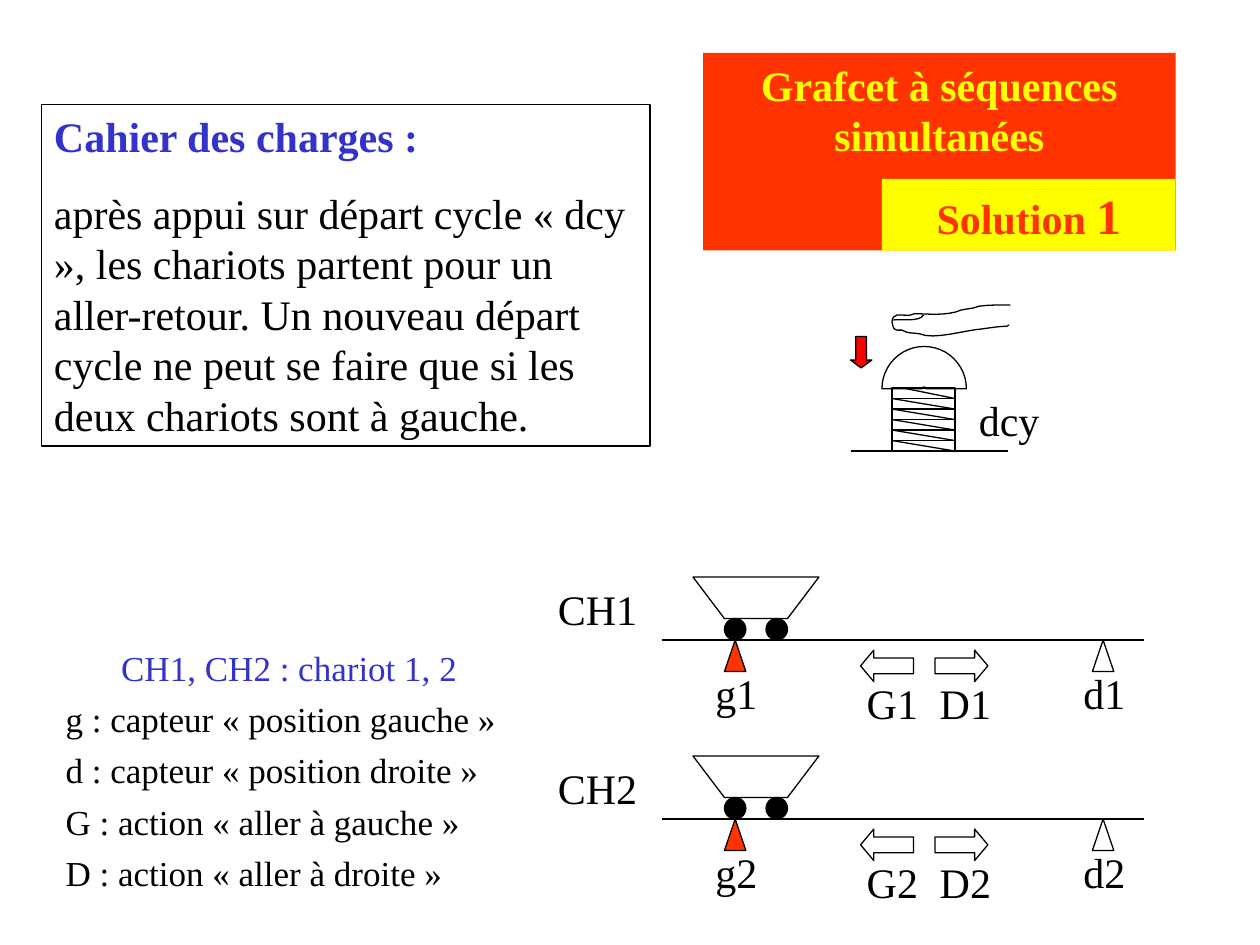
import pptx
import pptx.dml.color
import pptx.enum.shapes
import pptx.enum.text
import pptx.oxml.ns
import pptx.util
from lxml import etree

Inches = pptx.util.Inches
Pt = pptx.util.Pt
MSO = pptx.enum.shapes.MSO_SHAPE
ALIGN = pptx.enum.text.PP_ALIGN
qn = pptx.oxml.ns.qn

BLACK, RED, YELLOW, BLUE = "000000", "FF3300", "FFFF00", "3333CC"


def rgb(value):
    return pptx.dml.color.RGBColor.from_string(value)


def bezier(p0, p1, p2, p3, steps=8):
    """Points along a cubic curve, without its start."""
    for i in range(1, steps + 1):
        t = i / steps
        u = 1 - t
        yield tuple(u**3 * a + 3 * u * u * t * b + 3 * u * t * t * c + t**3 * d
                    for a, b, c, d in zip(p0, p1, p2, p3))


def curve(points):
    """Flatten a chain of cubic curves: start, then three points for each."""
    flat = [points[0]]
    for i in range(0, len(points) - 1, 3):
        flat.extend(bezier(*points[i:i + 4]))
    return flat


class Slide:
    font = "Times New Roman"
    line_width = Pt(0.75)

    def __init__(self, prs, layout):
        self.s = prs.slides.add_slide(prs.slide_layouts[layout])
        self.shapes = self.s.shapes

    def group(self):
        """Put the next elements in a new group."""
        self.shapes = self.s.shapes.add_group_shape().shapes

    def ungroup(self):
        self.shapes = self.s.shapes

    def paint(self, sp, fill=None, line=BLACK):
        sp.shadow.inherit = False
        if fill:
            sp.fill.solid()
            sp.fill.fore_color.rgb = rgb(fill)
        else:
            sp.fill.background()
        if line:
            sp.line.color.rgb = rgb(line)
            sp.line.width = self.line_width
        else:
            sp.line.fill.background()

    def shape(self, kind, box, fill=None, line=BLACK, adj=()):
        sp = self.shapes.add_shape(kind, *map(Inches, box))
        self.paint(sp, fill, line)
        for i, value in enumerate(adj):
            sp.adjustments[i] = value
        return sp

    def outline(self, points, close=False):
        pts = [(Inches(x), Inches(y)) for x, y in points]
        builder = self.shapes.build_freeform(*pts[0])
        builder.add_line_segments(pts[1:], close=close)
        self.paint(builder.convert_to_shape())

    def rule(self, x1, y1, x2, y2):
        straight = pptx.enum.shapes.MSO_CONNECTOR.STRAIGHT
        cn = self.shapes.add_connector(straight, *map(Inches, (x1, y1, x2, y2)))
        cn.line.color.rgb = rgb(BLACK)
        cn.line.width = self.line_width
        etree.SubElement(cn._element.spPr, qn("a:effectLst"))

    def text(self, sp, paragraphs, before=15, spacing=1.0):
        """Each paragraph is (alignment, [(text, colour, run format), ...])."""
        tf = sp.text_frame
        frame = dict(word_wrap=True,
                     auto_size=pptx.enum.text.MSO_AUTO_SIZE.SHAPE_TO_FIT_TEXT,
                     vertical_anchor=pptx.enum.text.MSO_ANCHOR.TOP)
        for key, value in frame.items():
            setattr(tf, key, value)
        for i, (align, runs) in enumerate(paragraphs):
            p = tf.add_paragraph() if i else tf.paragraphs[0]
            layout = dict(alignment=align, space_before=Pt(before),
                          space_after=Pt(0), line_spacing=spacing)
            for key, value in layout.items():
                setattr(p, key, value)
            for words, colour, extra in runs:
                r = p.add_run()
                r.text = words
                style = dict(name=self.font, size=Pt(24), bold=False)
                for key, value in {**style, **extra}.items():
                    setattr(r.font, key, value)
                r.font.color.rgb = rgb(colour)

    def label(self, words, x, y, w, tab=None):
        sp = self.shapes.add_textbox(*map(Inches, (x, y, w, 0.5)))
        self.text(sp, [(ALIGN.LEFT, [(words, BLACK, {})])])
        if tab:
            pPr = sp.text_frame.paragraphs[0]._p.get_or_add_pPr()
            tabs = etree.SubElement(pPr, qn("a:tabLst"))
            etree.SubElement(tabs, qn("a:tab"), pos=str(Inches(tab)), algn="l")

    def placeholder(self, sp, box, fill=None):
        sp.left, sp.top, sp.width, sp.height = map(Inches, box)
        if fill:
            sp.fill.solid()
            sp.fill.fore_color.rgb = rgb(fill)
        return sp

    def plain_list(self, sp, lines, size):
        self.text(sp, [(align, [(words, colour, dict(size=Pt(size)))])
                       for align, words, colour in lines],
                  before=12.5, spacing=0.7)
        for p in sp.text_frame.paragraphs:
            pPr = p._p.get_or_add_pPr()
            pPr.set("marL", "0")
            pPr.set("indent", "0")
            etree.SubElement(pPr, qn("a:buNone"))


def draw_track(s, n, rail):
    """Cart n on its rail, with sensors and movements."""
    s.rule(5.25, rail, 9.08, rail)
    s.group()
    top = rail - 0.5
    s.outline([(5.5, top), (6.5, top), (6.25, top + 0.33), (5.75, top + 0.33)],
              close=True)
    for x in (5.75, 6.08):
        s.shape(MSO.OVAL, (x, rail - 0.17, 0.17, 0.17), fill=BLACK)
    s.ungroup()
    for x, fill in ((5.75, RED), (8.67, None)):
        s.shape(MSO.ISOSCELES_TRIANGLE, (x, rail, 0.17, 0.25), fill)
    for kind, x in ((MSO.LEFT_ARROW, 6.83), (MSO.RIGHT_ARROW, 7.42)):
        s.shape(kind, (x, rail + 0.08, 0.42, 0.25), adj=(0.5, 0.42))
    s.label(f"g{n}", 5.58, rail + 0.17, 0.7)
    s.label(f"d{n}", 8.5, rail + 0.17, 0.58)
    s.label(f"CH{n}", 4.33, rail - 0.5, 1.17)
    s.label(f"G{n}\tD{n}", 6.78, rail + 0.25, 1.25, tab=0.58)


def draw_button(s):
    """Start button: spring, dome, hand and label."""
    s.group()
    left, right, top, pitch = 7.08, 7.58, 3.08, 0.5 / 6
    s.shape(MSO.RECTANGLE, (left, top, 0.5, 0.5))
    s.shape(MSO.BLOCK_ARC, (7, 2.75, 0.67, 0.67), adj=(108, 0, 0.48))
    for i in range(6):
        y = top + i * pitch
        if i:
            s.rule(right, y, left, y)
        s.rule(left if i else 7.17, y, right, y + pitch)
    s.rule(6.75, 3.58, 8, 3.58)
    s.outline(curve([
        (8.02, 2.42), (7.93, 2.42), (7.85, 2.42), (7.77, 2.43),
        (7.72, 2.45), (7.68, 2.45), (7.63, 2.46),
        (7.52, 2.51), (7.36, 2.49), (7.26, 2.49),
        (7.19, 2.51), (7.24, 2.5), (7.12, 2.5),
        (7.09, 2.52), (7.09, 2.51), (7.08, 2.55),
        (7.09, 2.63), (7.11, 2.62), (7.16, 2.62),
        (7.21, 2.65), (7.25, 2.64), (7.3, 2.65),
        (7.41, 2.7), (7.66, 2.62), (7.8, 2.61),
        (7.87, 2.6), (7.93, 2.59), (7.99, 2.59),
        (8.01, 2.58), (8, 2.58), (8.01, 2.58)]))
    s.outline(curve([(7.09, 2.54), (7.13, 2.53), (7.3, 2.56), (7.33, 2.5)]))
    s.shape(MSO.DOWN_ARROW, (6.75, 2.67, 0.17, 0.25), "FF0000", adj=(0.5, 0.37))
    s.label("dcy", 7.67, 3.08, 1.33)
    s.ungroup()


def main():
    prs = pptx.Presentation()
    prs.slide_width, prs.slide_height = Inches(10), Inches(7.5)
    s = Slide(prs, 1)
    bold = dict(bold=True)

    # Title and solution number
    title = s.placeholder(s.s.shapes.title, (5.58, 0.42, 3.75, 0.9), RED)
    s.text(title, [(ALIGN.CENTER,
                    [("Grafcet à séquences simultanées", YELLOW, bold)])])
    solution = s.shape(MSO.RECTANGLE, (7, 1.42, 2.33, 0.57), YELLOW, line=None)
    s.text(solution, [(ALIGN.CENTER, [("Solution ", RED, bold),
                                      ("1", RED, dict(bold=True, size=Pt(28)))])],
           before=17.5)

    # Requirements
    frame = s.shape(MSO.RECTANGLE, (0.33, 0.83, 4.83, 2.71))
    s.text(frame, [
        (ALIGN.LEFT, [("Cahier des charges :", BLUE, bold)]),
        (ALIGN.LEFT, [("après appui sur départ cycle « dcy », les chariots "
                       "partent pour un aller-retour. Un nouveau départ cycle ne "
                       "peut se faire que si les deux chariots sont à gauche.",
                       BLACK, {})])])

    # Legend
    legend = s.placeholder(s.s.placeholders[1], (0.42, 5.17, 3.75, 1.96))
    meanings = ("g : capteur « position gauche »", "d : capteur « position droite »",
                "G : action « aller à gauche »", "D : action « aller à droite »")
    s.plain_list(legend, [(ALIGN.CENTER, "CH1, CH2 : chariot 1, 2", BLUE)]
                 + [(ALIGN.LEFT, words, BLACK) for words in meanings], 20)

    # Diagram
    draw_button(s)
    for n, rail in ((1, 5.08), (2, 6.5)):
        draw_track(s, n, rail)

    prs.save("out.pptx")


if __name__ == "__main__":
    main()
